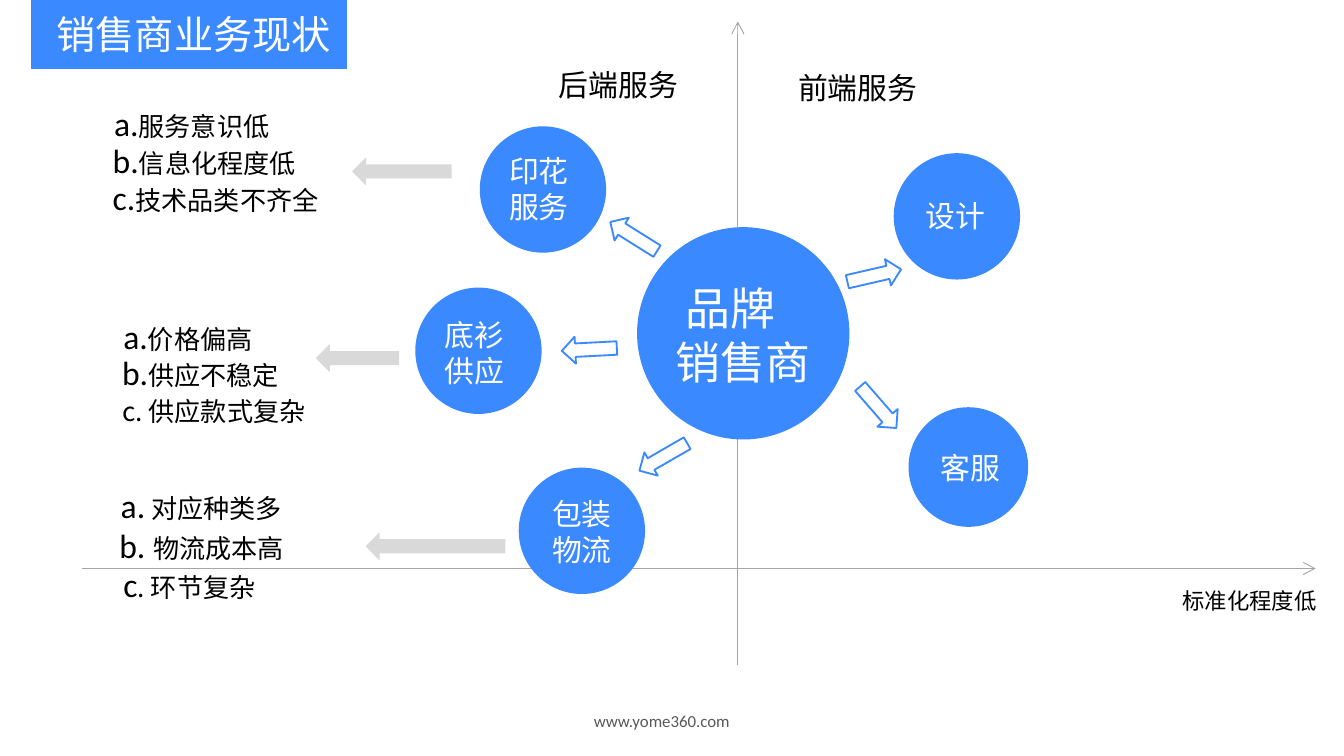
import pptx
import pptx.util
import pptx.dml.color
import pptx.enum.shapes
import pptx.enum.text
import pptx.oxml.ns
import lxml.etree

Inches = pptx.util.Inches
RGBColor = pptx.dml.color.RGBColor
Shape = pptx.enum.shapes.MSO_SHAPE
qn = pptx.oxml.ns.qn

BLUE = RGBColor(0x3A, 0x89, 0xFF)
WHITE = RGBColor(0xFF, 0xFF, 0xFF)
BLACK = RGBColor(0, 0, 0)
AXIS_GRAY = RGBColor(0xA5, 0xA5, 0xA5)
ARROW_GRAY = RGBColor(0xD9, 0xD9, 0xD9)
FOOTER_GRAY = RGBColor(0x59, 0x59, 0x59)
CHINESE = "Noto Sans CJK SC"
LATIN = "Calibri"


class SlideBuilder:
    def __init__(self, slide):
        self.slide = slide
        self.shapes = slide.shapes

    def fill_text(self, box, paragraphs, color):
        """Each paragraph is a list of (text, size, font) runs."""
        frame = box.text_frame
        frame.word_wrap = True
        frame.auto_size = pptx.enum.text.MSO_AUTO_SIZE.SHAPE_TO_FIT_TEXT
        frame.vertical_anchor = pptx.enum.text.MSO_ANCHOR.TOP
        for index, runs in enumerate(paragraphs):
            paragraph = frame.add_paragraph() if index else frame.paragraphs[0]
            paragraph.alignment = pptx.enum.text.PP_ALIGN.LEFT
            for text, size, font in runs:
                run = paragraph.add_run()
                run.text = text
                run.font.size = pptx.util.Pt(size)
                run.font.name = font
                run.font.color.rgb = color
                east_asian = lxml.etree.SubElement(run.font._element, qn("a:ea"))
                east_asian.set("typeface", font)

    def title(self, text, left, top, width, height):
        title = self.shapes.title
        title.left, title.top = Inches(left), Inches(top)
        title.width, title.height = Inches(width), Inches(height)
        self.fill_text(title, [[(text, 21, CHINESE)]], WHITE)
        self.shapes._spTree.append(title._element)  # in front of its banner

    def text(self, paragraphs, left, top, width, height, color=BLACK):
        box = self.shapes.add_textbox(
            Inches(left), Inches(top), Inches(width), Inches(height))
        self.fill_text(box, paragraphs, color)

    def shape(self, kind, left, top, width, height, fill=None, outline=None,
              rotation=0):
        shape = self.shapes.add_shape(
            kind, Inches(left), Inches(top), Inches(width), Inches(height))
        shape.shadow.inherit = False
        shape.rotation = rotation
        if fill is None:
            shape.fill.background()
        else:
            shape.fill.solid()
            shape.fill.fore_color.rgb = fill
        if outline is None:
            shape.line.fill.background()
        else:
            shape.line.color.rgb = outline
            shape.line.width = pptx.util.Pt(1)

    def circle(self, left, top, diameter, lines, size, label_box):
        self.shape(Shape.OVAL, left, top, diameter, diameter, fill=BLUE)
        self.text([[(line, size, CHINESE)] for line in lines], *label_box,
                  color=WHITE)

    def axis(self, x1, y1, x2, y2):
        axis = self.shapes.add_connector(
            pptx.enum.shapes.MSO_CONNECTOR.STRAIGHT,
            Inches(x1), Inches(y1), Inches(x2), Inches(y2))
        axis.line.color.rgb = AXIS_GRAY
        axis.line.width = pptx.util.Pt(0.5)
        arrowhead = lxml.etree.SubElement(axis.line._get_or_add_ln(), qn("a:tailEnd"))
        arrowhead.set("type", "arrow")
        lxml.etree.SubElement(axis._element.spPr, qn("a:effectLst"))


def main():
    deck = pptx.Presentation()
    deck.slide_width = Inches(10)
    deck.slide_height = Inches(10) * 9 // 16
    builder = SlideBuilder(deck.slides.add_slide(deck.slide_layouts[5]))

    # Title banner
    builder.shape(Shape.FLOWCHART_PROCESS, 0.23, 0, 2.35, 0.51, fill=BLUE)
    builder.title("销售商业务现状", 0.32, 0.03, 2.31, 0.45)

    # Axes and their labels
    builder.axis(0.61, 4.23, 9.79, 4.23)
    builder.axis(5.49, 4.95, 5.49, 0.16)
    builder.text([[("后端服务", 16, CHINESE)]], 4.06, 0.45, 1.2, 0.37)
    builder.text([[("前端服务", 16, CHINESE)]], 5.84, 0.47, 1.2, 0.37)
    builder.text([[("标准化程度低", 12, CHINESE)]], 8.7, 4.32, 1.26, 0.3)

    # Seller in the centre, services around it
    builder.circle(4.74, 1.69, 1.58, [" 品牌", "销售商"], 24,
                   (4.93, 2.04, 1.33, 0.9))
    services = [
        (6.65, 1.14, 0.94, ["设计"], 6.79, 1.42),
        (6.76, 3.03, 0.89, ["客服"], 6.9, 3.3),
        (3.57, 0.94, 0.94, ["印花", "服务"], 3.69, 1.09),
        (3.09, 2.14, 0.94, ["底衫", "供应"], 3.21, 2.31),
        (3.86, 3.48, 0.94, ["包装", "物流"], 4.01, 3.64),
    ]
    for left, top, diameter, lines, label_left, label_top in services:
        label_height = 0.1 + 0.27 * len(lines)
        builder.circle(left, top, diameter, lines, 16,
                       (label_left, label_top, 0.69, label_height))

    # Arrows from the seller to each service
    for left, top, rotation in [(6.3, 1.95, 347), (6.33, 2.93, 49),
                                (4.73, 3.3, 150), (4.18, 2.5, 177),
                                (4.51, 1.66, 212)]:
        builder.shape(Shape.RIGHT_ARROW, left, top, 0.41, 0.2, outline=BLUE,
                      rotation=rotation)

    # Arrows from the back-end services to their problems
    for left, top, width in [(2.62, 1.17, 0.74), (2.35, 2.56, 0.62),
                             (2.72, 3.96, 1.04)]:
        builder.shape(Shape.LEFT_ARROW, left, top, width, 0.21, fill=ARROW_GRAY)

    # Problems of each back-end service
    problems = [
        (0.75, 0.72, 1.65, "a.", "服务意识低"),
        (0.74, 0.99, 1.65, "b.", "信息化程度低"),
        (0.74, 1.27, 1.85, "c.", "技术品类不齐全"),
        (0.82, 2.3, 1.64, "a.", "价格偏高"),
        (0.81, 2.57, 1.85, "b.", "供应不稳定"),
        (0.8, 3.56, 2.28, "a.", " 对应种类多"),
        (0.79, 3.86, 1.64, "b. ", "物流成本高"),
        (0.82, 4.15, 1.85, "c", ". 环节复杂"),
    ]
    for left, top, width, letter, problem in problems:
        builder.text([[(letter, 18, LATIN), (problem, 14, CHINESE)]],
                     left, top, width, 0.4)
    builder.text([[("c. 供应款式复杂", 14, CHINESE)]], 0.81, 2.89, 1.85, 0.34)

    # Footer
    builder.text([[("www.yome360.com", 9, LATIN)]], 4.32, 5.24, 1.34, 0.25,
                 color=FOOTER_GRAY)

    deck.save("out.pptx")


if __name__ == "__main__":
    main()
